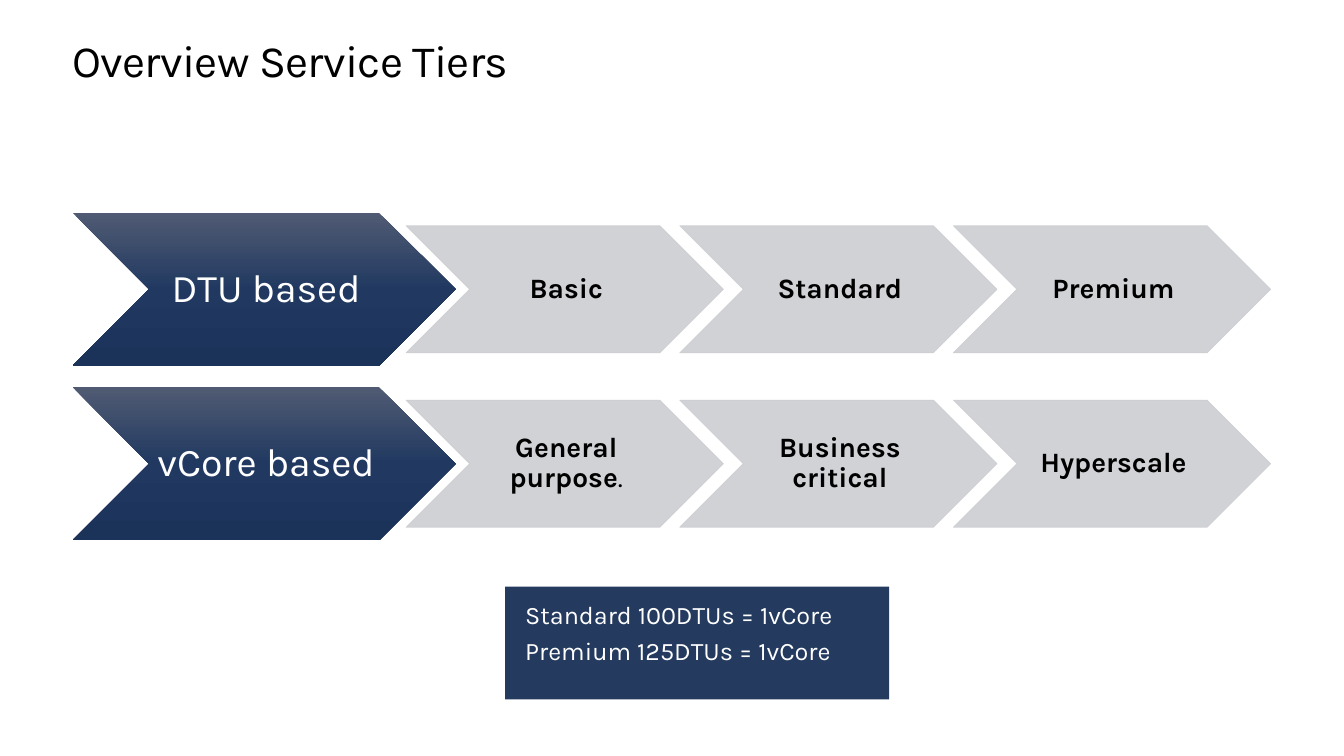
import pptx
import pptx.util
from lxml import etree
from copy import deepcopy
from pptx.dml.color import RGBColor
from pptx.enum.shapes import MSO_SHAPE
from pptx.enum.text import MSO_ANCHOR, MSO_AUTO_SIZE, PP_ALIGN
from pptx.oxml.ns import qn

NAVY, GREY, WHITE, BLACK = "243A5E", "CDCED2", "FFFFFF", "000000"
FAMILY_GRADIENT = [(0, "505B73"), (0.5, "213961"), (1, "1B3259")]

# Percent of the slide's width (lefts, widths) or height (tops, heights)
MARGIN = 5.4
FAMILY_SIZE = (28.5, 20.27)
TIER_SIZE = (23.6, 16.8)
FIRST_TIER, TIER_PITCH = 30.22, 20.36
FIRST_CENTRE, ROW_PITCH = 38.27, 23.07

SERVICE_TIERS = [
    ("DTU based", [("Basic", ""), ("Standard", ""), ("Premium", "")]),
    ("vCore based", [("General purpose", "."), ("Business critical", ""), ("Hyperscale", "")]),
]


def rgb(hex_string):
    return RGBColor.from_string(hex_string)


class TierSlide:
    font_name = "Karla"

    def __init__(self, presentation):
        self.width = presentation.slide_width
        self.height = presentation.slide_height
        self.slide = presentation.slides.add_slide(presentation.slide_layouts[5])

    def place(self, left, top, width, height):
        """Turn percentages of the slide into lengths."""
        return (int(self.width * left / 100), int(self.height * top / 100),
                int(self.width * width / 100), int(self.height * height / 100))

    def style(self, paragraph, size, color, align, bold=False, spacing=0.9):
        paragraph.alignment = align
        paragraph.line_spacing = spacing
        paragraph.font.name = self.font_name
        paragraph.font.size = pptx.util.Pt(size)
        paragraph.font.bold = bold
        paragraph.font.color.rgb = rgb(color)

    def frame(self, shape, anchor, *insets):
        """Set anchor, wrapping and insets (left, top, right, bottom in inches)."""
        text = shape.text_frame
        text.word_wrap = True
        text.auto_size = MSO_AUTO_SIZE.NONE
        text.vertical_anchor = anchor
        (text.margin_left, text.margin_top,
         text.margin_right, text.margin_bottom) = map(pptx.util.Inches, insets)
        return text

    def title(self, wording):
        heading = self.slide.shapes.title
        heading.left, heading.top, heading.width, heading.height = self.place(MARGIN, 4.67, 89.25, 6.67)
        text = self.frame(heading, MSO_ANCHOR.TOP, 0, 0, 0, 0)
        text.text = wording
        paragraph = text.paragraphs[0]
        self.style(paragraph, 32, BLACK, PP_ALIGN.LEFT, spacing=pptx.util.Pt(36.2))
        paragraph.runs[0].font._element.set("spc", "-50")

    def shape(self, preset, *box):
        shape = self.slide.shapes.add_shape(preset, *self.place(*box))
        shape.shadow.inherit = False
        shape.line.fill.background()
        return shape

    def chevron(self, left, centre, size):
        width, height = size
        return self.shape(MSO_SHAPE.CHEVRON, left, centre - height / 2, width, height)

    def family(self, centre, name):
        chevron = self.chevron(MARGIN, centre, FAMILY_SIZE)
        chevron.fill.gradient()
        chevron.fill.gradient_angle = 270
        stop_list = chevron._element.spPr.find(".//" + qn("a:gsLst"))
        stop_list.append(deepcopy(stop_list[-1]))
        for stop, (position, color) in zip(chevron.fill.gradient_stops, FAMILY_GRADIENT):
            stop.position = position
            stop.color.rgb = rgb(color)
        text = self.frame(chevron, MSO_ANCHOR.MIDDLE, 0.04, 0.02, 0, 0.02)
        text.text = name
        self.style(text.paragraphs[0], 28, WHITE, PP_ALIGN.CENTER)

    def tier(self, column, centre, name, plain_ending):
        chevron = self.chevron(FIRST_TIER + column * TIER_PITCH, centre, TIER_SIZE)
        chevron.fill.solid()
        chevron.fill.fore_color.rgb = rgb(GREY)
        chevron.line.color.rgb = rgb(GREY)
        chevron.line.width = pptx.util.Pt(0.5)
        for color in chevron._element.spPr.iter(qn("a:srgbClr")):
            etree.SubElement(color, qn("a:alpha")).set("val", "90000")
        text = self.frame(chevron, MSO_ANCHOR.MIDDLE, 0.03, 0.01, 0, 0.01)
        text.text = name
        self.style(text.paragraphs[0], 20, BLACK, PP_ALIGN.CENTER, bold=True)
        if plain_ending:
            ending = text.paragraphs[0].add_run()
            ending.text = plain_ending
            ending.font.bold = False

    def conversion_note(self, lines):
        note = self.shape(MSO_SHAPE.RECTANGLE, 37.58, 77.6, 28.58, 14.93)
        note.fill.solid()
        note.fill.fore_color.rgb = rgb(NAVY)
        text = self.frame(note, MSO_ANCHOR.TOP, 0.2, 0.16, 0.2, 0.16)
        text.text = "\n".join(lines)
        for paragraph in text.paragraphs:
            self.style(paragraph, 18, WHITE, PP_ALIGN.LEFT)
            paragraph.space_after = pptx.util.Pt(6)


def main():
    presentation = pptx.Presentation()
    presentation.slide_width = pptx.util.Inches(13.33)
    presentation.slide_height = pptx.util.Inches(7.5)
    overview = TierSlide(presentation)
    overview.title("Overview Service Tiers")
    for row, (family, tiers) in enumerate(SERVICE_TIERS):
        centre = FIRST_CENTRE + row * ROW_PITCH
        overview.family(centre, family)
        for column, (name, plain_ending) in enumerate(tiers):
            overview.tier(column, centre, name, plain_ending)
    overview.conversion_note(["Standard 100DTUs = 1vCore", "Premium 125DTUs = 1vCore"])
    presentation.save("out.pptx")


if __name__ == "__main__":
    main()
